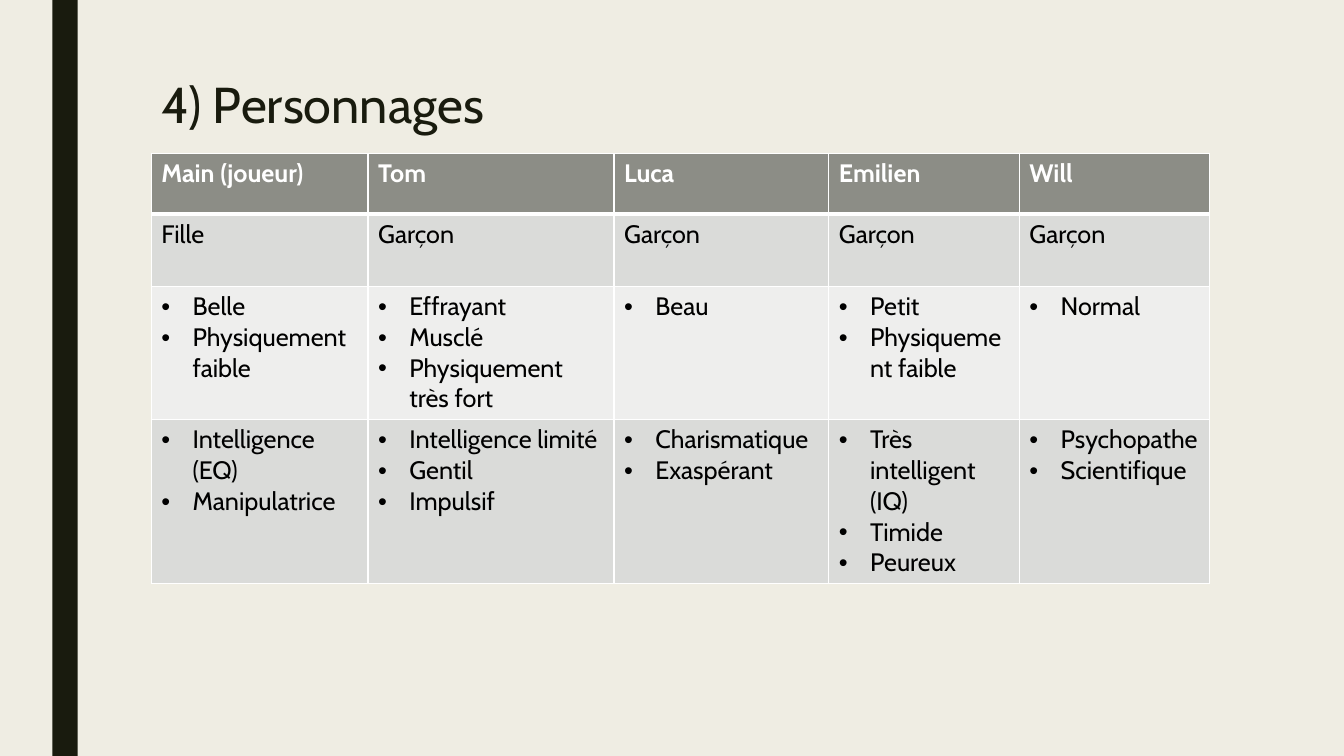
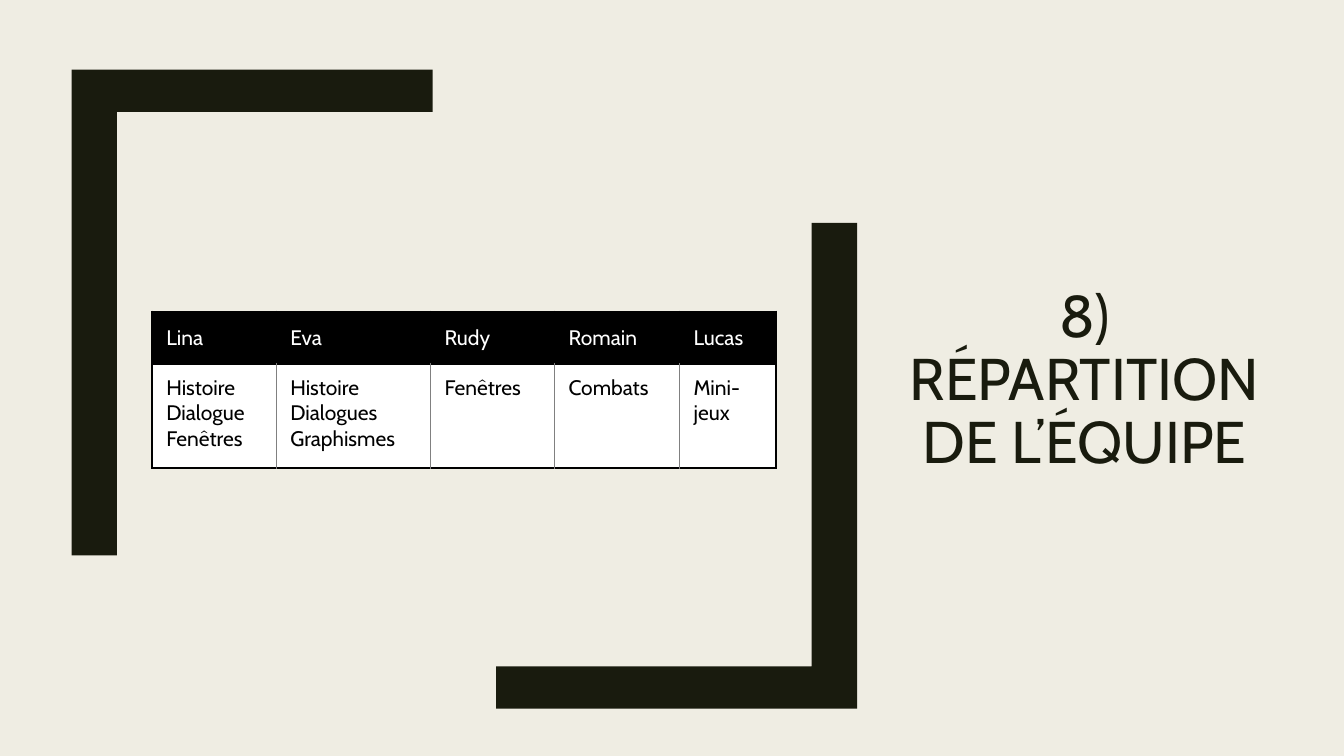
from lxml import etree
from pptx import Presentation
from pptx import util as u
from pptx.dml.color import RGBColor
from pptx.enum import shapes, text
from pptx.oxml.ns import qn

FONT = "Cabin"
COLORS = {
    "paper": "EFEDE3",
    "dark": "191B0E",
    "header": "8C8D86",
    "band": "DADBD9",
    "light": "EEEEED",
    "white": "FFFFFF",
    "black": "000000",
    "gray": "808080",
}
SIDES = {"l": "a:lnL", "r": "a:lnR", "t": "a:lnT", "b": "a:lnB"}

CHARACTERS = [
    ["Main (joueur)", "Tom", "Luca", "Emilien", "Will"],
    ["Fille", "Garçon", "Garçon", "Garçon", "Garçon"],
    ["Belle\nPhysiquement faible", "Effrayant\nMusclé\nPhysiquement très fort",
     "Beau", "Petit\nPhysiquement faible", "Normal"],
    ["Intelligence (EQ)\nManipulatrice", "Intelligence limité\nGentil\nImpulsif",
     "Charismatique\nExaspérant", "Très intelligent (IQ)\nTimide\nPeureux",
     "Psychopathe\nScientifique"],
]
TEAM = [
    ["Lina", "Eva", "Rudy", "Romain", "Lucas"],
    ["Histoire\nDialogue\nFenêtres", "Histoire\nDialogues\nGraphismes",
     "Fenêtres", "Combats", "Mini-jeux"],
]


def rgb(name):
    return RGBColor.from_string(COLORS[name])


def paint(sp, color):
    sp.shadow.inherit = False
    sp.fill.solid()
    sp.fill.fore_color.rgb = rgb(color)
    sp.line.fill.background()


def style_runs(p, size, color, bold=False):
    for r in p.runs:
        r.font.name = FONT
        r.font.size = u.Pt(size)
        r.font.bold = bold
        r.font.color.rgb = rgb(color)


def add_bullet(p):
    pPr = p._p.get_or_add_pPr()
    pPr.set("marL", str(u.Inches(0.31)))
    pPr.set("indent", str(-u.Inches(0.31)))
    etree.SubElement(pPr, qn("a:buFont")).set("typeface", "Arial")
    etree.SubElement(pPr, qn("a:buChar")).set("char", "•")


def set_borders(cell, borders):
    tcPr = cell._tc.get_or_add_tcPr()
    for side, tag in SIDES.items():
        color, width = borders[side]
        ln = etree.SubElement(tcPr, qn(tag))
        ln.set("w", str(u.Pt(width)))
        fill = etree.SubElement(ln, qn("a:solidFill"))
        etree.SubElement(fill, qn("a:srgbClr")).set("val", COLORS[color])


def fill_cell(cell, words, size, color, fill, borders, bold=False, bullets=False):
    set_borders(cell, borders)
    cell.fill.solid()
    cell.fill.fore_color.rgb = rgb(fill)
    cell.text_frame.text = words
    for p in cell.text_frame.paragraphs:
        if bullets:
            add_bullet(p)
        style_runs(p, size, color, bold)


def add_title(s, box, words, size, align, anchor):
    sp = s.shapes.title
    sp.left, sp.top, sp.width, sp.height = map(u.Inches, box)
    tf = sp.text_frame
    tf.text = words
    tf.word_wrap = True
    tf.auto_size = text.MSO_AUTO_SIZE.NONE
    tf.vertical_anchor = anchor
    p = tf.paragraphs[0]
    p.alignment = align
    p.line_spacing = 0.89
    style_runs(p, size, "dark")


def add_grid(s, x, y, widths, heights):
    box = map(u.Inches, (x, y, sum(widths), sum(heights)))
    table = s.shapes.add_table(len(heights), len(widths), *box).table
    table.first_row = table.horz_banding = False
    for column, width in zip(table.columns, widths):
        column.width = u.Inches(width)
    for row, height in zip(table.rows, heights):
        row.height = u.Inches(height)
    return table


def add_characters(s, x, y):
    table = add_grid(s, x, y, [2.15, 2.44, 2.13, 1.89, 1.89], [0.6, 0.72, 1.32, 1.63])
    fills = ["header", "band", "light", "band"]
    for i, row in enumerate(CHARACTERS):
        borders = dict.fromkeys(SIDES, ("white", 1))
        if i == 0:
            borders["b"] = ("white", 3)
        elif i == 1:
            borders["t"] = ("white", 3)
        for j, words in enumerate(row):
            fill_cell(table.cell(i, j), words, 18, "black" if i else "white",
                      fills[i], borders, bold=i == 0, bullets=i > 1)


def add_team(s, x, y):
    table = add_grid(s, x, y, [1.23, 1.53, 1.23, 1.24, 0.96], [0.52, 1.03])
    edge, inner = ("black", 1.5), ("gray", 0.5)
    for i, row in enumerate(TEAM):
        for j, words in enumerate(row):
            borders = dict.fromkeys(SIDES, edge)
            if i and j:
                borders["l"] = inner
            if i and j < len(row) - 1:
                borders["r"] = inner
            cell = table.cell(i, j)
            fill_cell(cell, words, 15, "black" if i else "white",
                      "white" if i else "black", borders)
            cell.margin_left = u.Inches(0.14)
            cell.margin_right = cell.margin_top = cell.margin_bottom = u.Inches(0.11)
            if i == 0:
                cell.vertical_anchor = text.MSO_ANCHOR.MIDDLE


def add_bracket(s, x, y, turned=False):
    w, h, post, beam = 3.58, 4.82, 0.45, 0.42
    points = [(0, 0), (w, 0), (w, beam), (post, beam), (post, h), (0, h)]
    if turned:
        points = [(w - px, h - py) for px, py in points]
    points = [(u.Inches(x + px), u.Inches(y + py)) for px, py in points]
    builder = s.shapes.build_freeform(*points[0])
    builder.add_line_segments(points[1:], close=True)
    paint(builder.convert_to_shape(), "dark")


def add_side_band(s, x, width, height):
    sp = s.shapes.add_shape(shapes.MSO_SHAPE.RECTANGLE, u.Inches(x), 0,
                            u.Inches(width), height)
    paint(sp, "dark")


def characters_slide(prs, layout):
    s = prs.slides.add_slide(layout)
    add_side_band(s, 0.52, 0.25, prs.slide_height)
    add_title(s, (1.5, 0.75, 10.5, 0.77), "4) Personnages", 36,
              text.PP_ALIGN.LEFT, text.MSO_ANCHOR.TOP)
    add_characters(s, 1.5, 1.52)


def team_slide(prs, layout):
    s = prs.slides.add_slide(layout)
    add_title(s, (8.92, 0.69, 3.67, 4.08), "8) RÉPARTITION DE L’ÉQUIPE", 42,
              text.PP_ALIGN.CENTER, text.MSO_ANCHOR.BOTTOM)
    add_bracket(s, 0.71, 0.69)
    add_bracket(s, 4.92, 2.21, turned=True)
    add_team(s, 1.51, 3.09)


def main():
    prs = Presentation()
    prs.slide_width, prs.slide_height = u.Inches(13.33), u.Inches(7.5)
    background = prs.slide_master.background.fill
    background.solid()
    background.fore_color.rgb = rgb("paper")
    layout = prs.slide_layouts[5]
    characters_slide(prs, layout)
    team_slide(prs, layout)
    prs.save("out.pptx")


if __name__ == "__main__":
    main()
